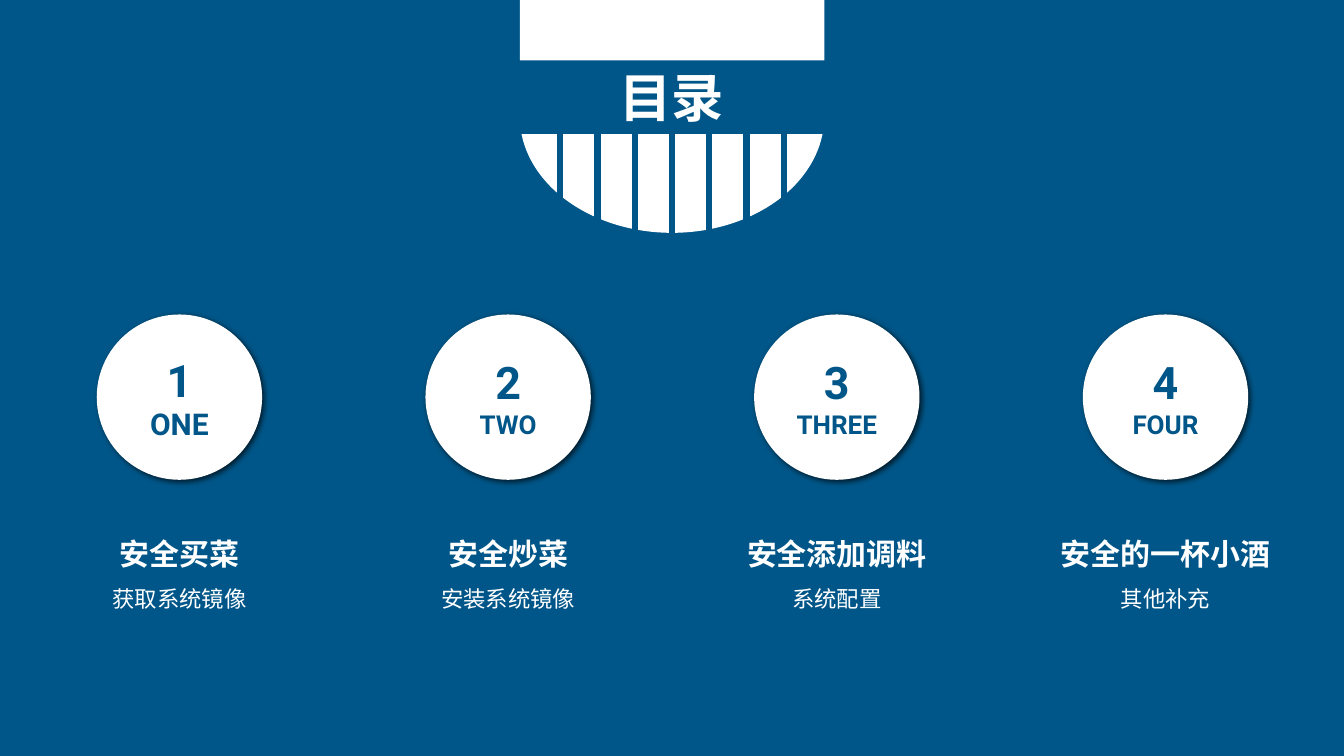
from dataclasses import dataclass
from lxml.etree import SubElement
from pptx import Presentation
from pptx.dml.color import RGBColor
from pptx.enum.shapes import MSO_CONNECTOR, MSO_SHAPE
from pptx.enum.text import MSO_ANCHOR, MSO_AUTO_SIZE, PP_ALIGN
from pptx.oxml.ns import qn
from pptx.util import Inches, Pt

TITLE = "目录"
ITEMS = [
    ("1", "ONE", 21.4, "安全买菜", "获取系统镜像"),
    ("2", "TWO", 18.6, "安全炒菜", "安装系统镜像"),
    ("3", "THREE", 18.6, "安全添加调料", "系统配置"),
    ("4", "FOUR", 18.6, "安全的一杯小酒", "其他补充"),
]


@dataclass(frozen=True)
class Theme:
    blue: RGBColor = RGBColor(0x00, 0x56, 0x88)
    white: RGBColor = RGBColor(0xFF, 0xFF, 0xFF)
    han: str = "Noto Sans CJK SC"
    latin: str = "Roboto"
    title: float = 37.4
    digit: float = 32
    head: float = 21.4
    body: float = 16


T = Theme()
WIDE, HIGH = 13.33, 7.5
MID = WIDE / 2
BOWL_W, BOWL_H = 3.02, 2.31
BAND_W, BAND_TOP, BAND_H = 3.67, 0.6, 0.73
BARS, BAR_GAP, BAR_TOP, BAR_END = 7, 0.37, 1.32, 2.52
FIRST, STEP = 1.78, 3.26
DISC, DISC_TOP = 1.64, 3.12
TEXT_W, TEXT_H, TEXT_TOP = 2.95, 1.04, 5.09


def box(mid, top, wide, high):
    """Place of a box centred across on mid."""
    return [Inches(n) for n in (mid - wide / 2, top, wide, high)]


def add_solid(slide, kind, place, color):
    shape = slide.shapes.add_shape(kind, *place)
    shape.shadow.inherit = False
    shape.fill.solid()
    shape.fill.fore_color.rgb = color
    shape.line.fill.background()
    return shape


def write(shape, lines, font, color, space=None):
    """Fill a shape with centred lines of (text, size, bold)."""
    frame = shape.text_frame
    frame.word_wrap = True
    frame.text = "\n".join(text for text, _, _ in lines)
    for para, (_, size, bold) in zip(frame.paragraphs, lines):
        para.alignment = PP_ALIGN.CENTER
        if space:
            para.line_spacing = space
        run = para.runs[0]
        run.font.size, run.font.bold = Pt(size), bold
        run.font.name = font
        run.font.color.rgb = color
        SubElement(run.font._element, qn("a:ea"), typeface=font)
    return frame


def cast_shadow(shape):
    effects = shape._element.spPr.find(qn("a:effectLst"))
    shade = SubElement(effects, qn("a:outerShdw"), blurRad=str(Pt(4)),
                       dist=str(Pt(2)), dir=str(45 * 60000),
                       algn="tl", rotWithShape="0")
    color = SubElement(shade, qn("a:srgbClr"), val="000000")
    SubElement(color, qn("a:alpha"), val="65000")


def add_bowl(slide):
    top = (BOWL_H - BOWL_W) / 2
    bowl = add_solid(slide, MSO_SHAPE.FLOWCHART_DELAY,
                     box(MID, top, BOWL_H, BOWL_W), T.white)
    bowl.rotation = 90
    band = add_solid(slide, MSO_SHAPE.RECTANGLE,
                     box(MID, BAND_TOP, BAND_W, BAND_H), T.blue)
    frame = write(band, [(TITLE, T.title, True)], T.han, T.white)
    frame.vertical_anchor = MSO_ANCHOR.TOP
    frame.auto_size = MSO_AUTO_SIZE.SHAPE_TO_FIT_TEXT
    for i in range(BARS):
        x = Inches(MID + (i - BARS // 2) * BAR_GAP)
        bar = slide.shapes.add_connector(
            MSO_CONNECTOR.STRAIGHT, x, Inches(BAR_TOP), x, Inches(BAR_END))
        bar.line.color.rgb = T.blue
        bar.line.width = Pt(4.5)
        SubElement(bar._element.spPr, qn("a:effectLst"))


def add_item(slide, mid, digit, word, size, head, body):
    disc = add_solid(slide, MSO_SHAPE.OVAL,
                     box(mid, DISC_TOP, DISC, DISC), T.white)
    cast_shadow(disc)
    frame = write(disc, [(digit, T.digit, True), (word, size, True)],
                  T.latin, T.blue)
    frame.vertical_anchor = MSO_ANCHOR.MIDDLE
    label = slide.shapes.add_textbox(*box(mid, TEXT_TOP, TEXT_W, TEXT_H))
    frame = write(label, [(head, T.head, True), (body, T.body, False)],
                  T.han, T.white, 1.5)
    frame.auto_size = MSO_AUTO_SIZE.SHAPE_TO_FIT_TEXT


def main():
    deck = Presentation()
    deck.slide_width, deck.slide_height = Inches(WIDE), Inches(HIGH)
    slide = deck.slides.add_slide(deck.slide_layouts[6])
    slide.background.fill.solid()
    slide.background.fill.fore_color.rgb = T.blue
    add_bowl(slide)
    for i, item in enumerate(ITEMS):
        add_item(slide, FIRST + i * STEP, *item)
    deck.save("out.pptx")


if __name__ == "__main__":
    main()
